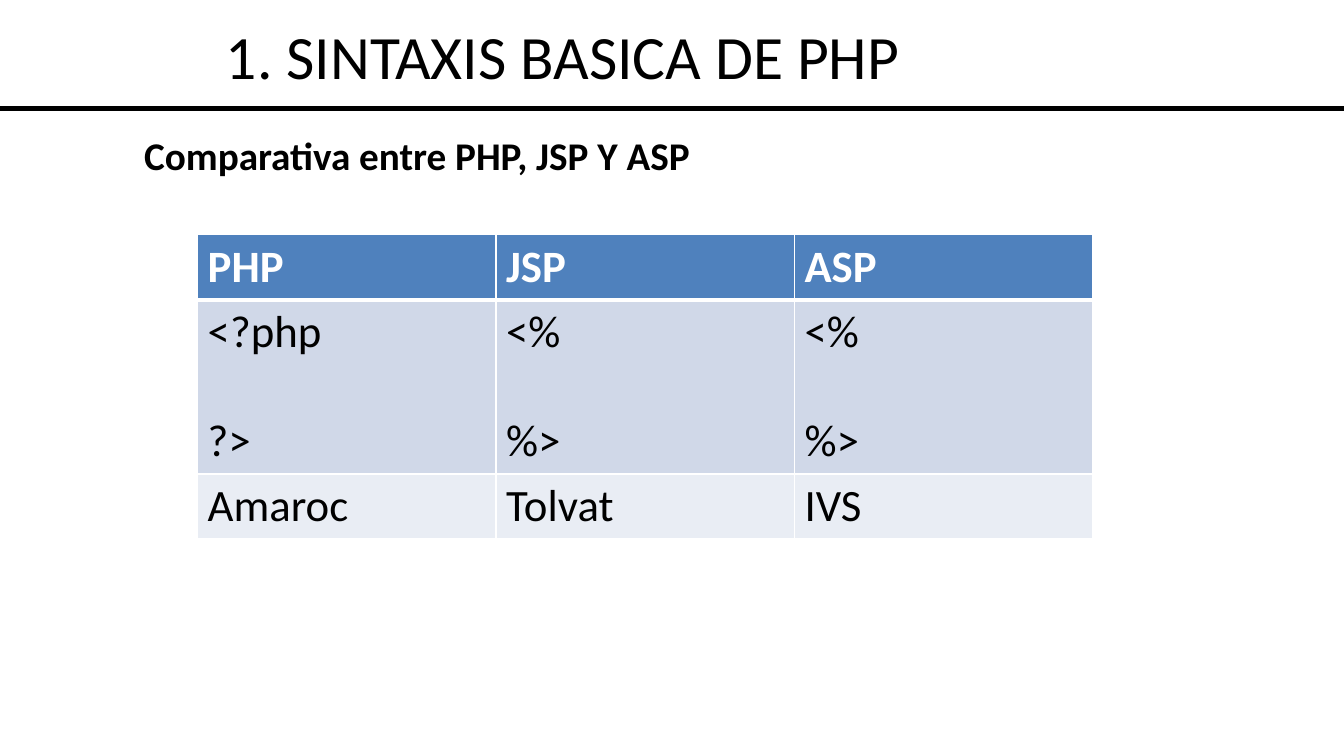
from lxml import etree
from pptx import Presentation
from pptx.dml.color import RGBColor
from pptx.enum.shapes import MSO_CONNECTOR
from pptx.enum.text import MSO_ANCHOR, MSO_AUTO_SIZE, PP_ALIGN
from pptx.oxml.ns import qn
from pptx.util import Inches, Pt

STRAIGHT = MSO_CONNECTOR.STRAIGHT
MIDDLE, BOTTOM = MSO_ANCHOR.MIDDLE, MSO_ANCHOR.BOTTOM
CENTER, LEFT = PP_ALIGN.CENTER, PP_ALIGN.LEFT
FIXED = MSO_AUTO_SIZE.NONE

BLACK, WHITE = "000000", "FFFFFF"
ROW_FILLS = ["4F81BD", "D0D8E8", "E9EDF4"]
ROW_HEIGHTS = [0.62, 1.71, 0.64]
COLUMN_WIDTH = 2.96
COMPARISON = [
    ["PHP", "JSP", "ASP"],
    ["<?php\n?>", "<%\n%>", "<%\n%>"],
    ["Amaroc", "Tolvat", "IVS"],
]


def write(frame, text, size, color=BLACK, bold=False, align=LEFT, gap=0):
    """Write one paragraph per line of text; gap is the space in points between them."""
    frame.text = text
    for number, para in enumerate(frame.paragraphs):
        para.alignment = align
        if number:
            para.space_before = Pt(gap)
        font = para.runs[0].font
        font.name, font.size, font.bold = "Calibri", Pt(size), bold
        font.color.rgb = RGBColor.from_string(color)


def add_borders(cell, bottom_width):
    properties = cell._tc.get_or_add_tcPr()
    for side, width in (("L", 1), ("R", 1), ("T", 1), ("B", bottom_width)):
        line = etree.SubElement(properties, qn(f"a:ln{side}"), w=str(Pt(width)))
        fill = etree.SubElement(line, qn("a:solidFill"))
        etree.SubElement(fill, qn("a:srgbClr"), val=WHITE)


deck = Presentation()
deck.slide_width, deck.slide_height = Inches(13.33), Inches(7.5)
page = deck.slides.add_slide(deck.slide_layouts[1])

# Title and the rule under it
title = page.shapes.title
title.left, title.top = Inches(0), Inches(0)
title.width, title.height = Inches(11.17), Inches(0.97)
title.text_frame.auto_size = FIXED
title.text_frame.vertical_anchor = BOTTOM
write(title.text_frame, "1. SINTAXIS BASICA DE PHP", 44, align=CENTER)
title.text_frame.paragraphs[0].line_spacing = 0.9

rule = page.shapes.add_connector(
    STRAIGHT, Inches(0), Inches(1.08), Inches(13.33), Inches(1.08))
rule.line.color.rgb = RGBColor.from_string(BLACK)
rule.line.width = Pt(3.5)
etree.SubElement(rule._element.spPr, qn("a:effectLst"))

# Subtitle, without a bullet
subtitle = page.placeholders[1]
subtitle.left, subtitle.top = Inches(1.33), Inches(1.25)
subtitle.width, subtitle.height = Inches(10.14), Inches(0.57)
subtitle.text_frame.auto_size = FIXED
subtitle.text_frame.vertical_anchor = MIDDLE
write(subtitle.text_frame, "Comparativa entre PHP, JSP Y ASP", 28, bold=True)
format_xml = subtitle.text_frame.paragraphs[0]._p.get_or_add_pPr()
format_xml.set("marL", "0")
format_xml.set("indent", "0")
etree.SubElement(format_xml, qn("a:buNone"))

# Comparison table
table = page.shapes.add_table(
    len(COMPARISON), len(COMPARISON[0]), Inches(1.96), Inches(2.33),
    Inches(COLUMN_WIDTH * 3), Inches(sum(ROW_HEIGHTS))).table
for column in table.columns:
    column.width = Inches(COLUMN_WIDTH)
for row, texts in enumerate(COMPARISON):
    table.rows[row].height = Inches(ROW_HEIGHTS[row])
    header = row == 0
    for column, text in enumerate(texts):
        cell = table.cell(row, column)
        add_borders(cell, 3 if header else 1)
        cell.fill.solid()
        cell.fill.fore_color.rgb = RGBColor.from_string(ROW_FILLS[row])
        write(cell.text_frame, text, 32, WHITE if header else BLACK, header, gap=39)

deck.save("out.pptx")
